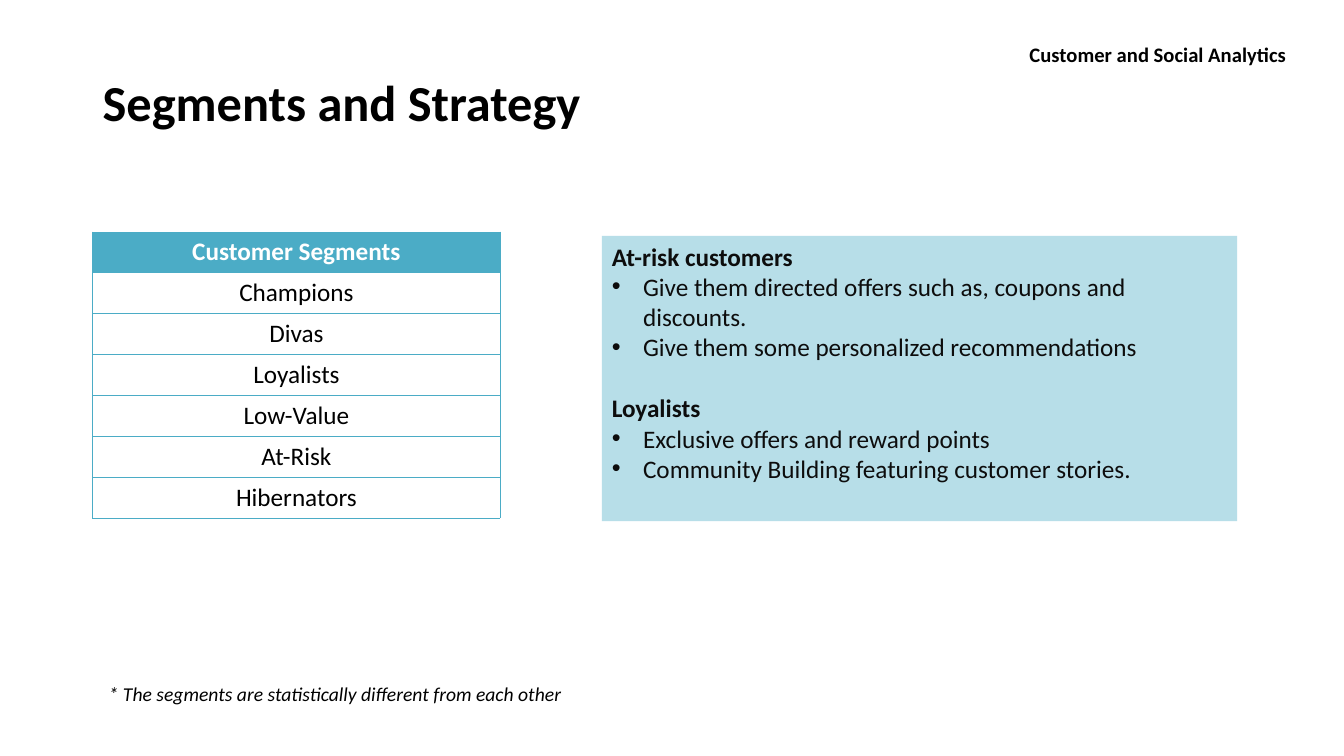
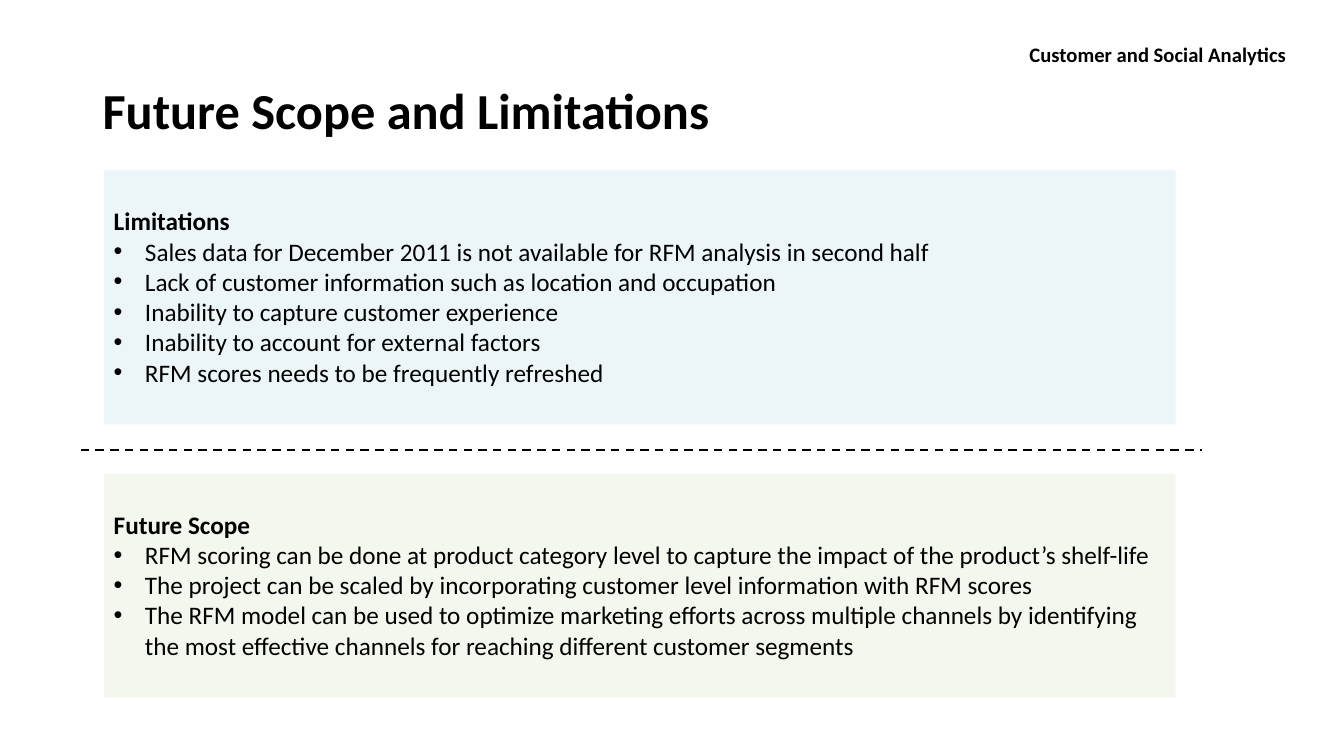
from lxml import etree
from pptx import Presentation
from pptx.dml.color import RGBColor
from pptx.enum import dml, shapes, text
from pptx.oxml import ns
from pptx.util import Inches, Pt

FONT = "Calibri"
BLACK, INK, WHITE = "000000", "0D0D0D", "FFFFFF"
TEAL, LIGHT_TEAL, PALE_BLUE, PALE_GREEN = "4BACC6", "B7DEE8", "DBEEF4", "EBF1DE"
COURSE = "Customer and Social Analytics"
LINE_GAP = 22
SEGMENTS = ["Customer Segments", "Champions", "Divas", "Loyalists",
            "Low-Value", "At-Risk", "Hibernators"]
STRATEGY = [
    ("At-risk customers", [
        "Give them directed offers such as, coupons and discounts.",
        "Give them some personalized recommendations"]),
    ("Loyalists", [
        "Exclusive offers and reward points",
        "Community Building featuring customer stories."]),
]
LIMITATIONS = [("Limitations", [
    "Sales data for December 2011 is not available for RFM analysis in second half",
    "Lack of customer information such as location and occupation",
    "Inability to capture customer experience",
    "Inability to account for external factors",
    "RFM scores needs to be frequently refreshed"])]
FUTURE_SCOPE = [("Future Scope", [
    "RFM scoring can be done at product category level to capture the impact of the product’s shelf-life",
    "The project can be scaled by incorporating customer level information with RFM scores",
    "The RFM model can be used to optimize marketing efforts across multiple channels by identifying "
    "the most effective channels for reaching different customer segments"])]


def rgb(color):
    return RGBColor.from_string(color)


def sub(parent, tag, **attrs):
    return etree.SubElement(parent, ns.qn(tag), attrs)


def box(left, top, width, height):
    return [Inches(v) for v in (left, top, width, height)]


def style(p, size, color=BLACK, bold=False, italic=False):
    f = p.font
    f.name, f.size, f.bold, f.italic = FONT, Pt(size), bold, italic
    f.color.rgb = rgb(color)


def add_text(s, at, content, size, anchor=text.MSO_ANCHOR.TOP, inset=True,
             spacing=None, **font):
    tf = s.shapes.add_textbox(*box(*at)).text_frame
    tf.word_wrap, tf.vertical_anchor = True, anchor
    if not inset:
        tf.margin_left = tf.margin_top = tf.margin_right = tf.margin_bottom = 0
    p = tf.paragraphs[0]
    p.text = content
    if spacing:
        p.line_spacing = spacing
    style(p, size, **font)


def add_bullet(p):
    pPr = p._p.get_or_add_pPr()
    pPr.set("marL", str(Inches(0.31)))
    pPr.set("indent", str(-Inches(0.31)))
    sub(pPr, "a:buFont", typeface="Arial")
    sub(pPr, "a:buChar", char="•")


def add_panel(s, at, fill, sections, color=BLACK, opacity=100, margin_top=0.05):
    sp = s.shapes.add_shape(shapes.MSO_SHAPE.RECTANGLE, *box(*at))
    sp.shadow.inherit = False
    sp.line.fill.background()
    sp.fill.solid()
    sp.fill.fore_color.rgb = rgb(fill)
    if opacity < 100:
        sub(sp._element.spPr.find(".//" + ns.qn("a:srgbClr")), "a:alpha",
            val=str(opacity * 1000))
    tf = sp.text_frame
    tf.word_wrap, tf.vertical_anchor = True, text.MSO_ANCHOR.TOP
    tf.margin_top = Inches(margin_top)
    for i, (heading, bullets) in enumerate(sections):
        for j, line in enumerate([heading] + bullets):
            p = tf.add_paragraph() if i or j else tf.paragraphs[0]
            p.text = line
            p.alignment = text.PP_ALIGN.LEFT
            style(p, 18, color, bold=j == 0)
            if j:
                add_bullet(p)
            elif i:
                p.space_before = Pt(LINE_GAP)


def add_borders(cell, color):
    tcPr = cell._tc.get_or_add_tcPr()
    for side in ("a:lnL", "a:lnR", "a:lnT", "a:lnB"):
        ln = sub(tcPr, side, w=str(Pt(0.5)))
        sub(sub(ln, "a:solidFill"), "a:srgbClr", val=color)


def add_list_table(s, at, rows):
    table = s.shapes.add_table(len(rows), 1, *box(*at)).table
    table.horz_banding = False
    for i, label in enumerate(rows):
        cell = table.cell(i, 0)
        header = i == 0
        add_borders(cell, TEAL)
        if header:
            cell.fill.solid()
            cell.fill.fore_color.rgb = rgb(TEAL)
        else:
            cell.fill.background()
        p = cell.text_frame.paragraphs[0]
        p.text = label
        p.alignment = text.PP_ALIGN.CENTER
        style(p, 18, WHITE if header else BLACK, bold=header)


def add_divider(s, left, right, y):
    c = s.shapes.add_connector(shapes.MSO_CONNECTOR.STRAIGHT, Inches(left), Inches(y),
                               Inches(right), Inches(y))
    c.line.color.rgb = rgb(BLACK)
    c.line.width = Pt(1.5)
    c.line.dash_style = dml.MSO_LINE.DASH
    sub(c._element.spPr, "a:effectLst")


def add_slide(prs, title, title_top):
    s = prs.slides.add_slide(prs.slide_layouts[6])
    add_text(s, (0.92, title_top, 11.5, 1.45), title, 36,
             anchor=text.MSO_ANCHOR.MIDDLE, spacing=0.9, bold=True)
    add_text(s, (10.21, 0.38, 2.78, 0.28), COURSE, 14.7, inset=False,
             spacing=Pt(20.5), bold=True)
    return s


def build_strategy(prs):
    s = add_slide(prs, "Segments and Strategy", 0.32)
    add_list_table(s, (0.92, 2.3, 4.04, 2.84), SEGMENTS)
    add_panel(s, (5.97, 2.34, 6.3, 2.83), LIGHT_TEAL, STRATEGY, color=INK)
    add_text(s, (0.98, 6.72, 6.51, 0.34),
             "* The segments are statistically different from each other", 14, italic=True)


def build_scope(prs):
    s = add_slide(prs, "Future Scope and Limitations", 0.4)
    for top, height, fill, sections in ((1.69, 2.52, PALE_BLUE, LIMITATIONS),
                                        (4.7, 2.22, PALE_GREEN, FUTURE_SCOPE)):
        add_panel(s, (1.03, top, 10.63, height), fill, sections,
                  opacity=50, margin_top=0.35)
    add_divider(s, 0.8, 11.92, 4.46)


def main():
    prs = Presentation()
    prs.slide_width, prs.slide_height = Inches(13.33), Inches(7.5)
    build_strategy(prs)
    build_scope(prs)
    prs.save("out.pptx")


if __name__ == "__main__":
    main()
